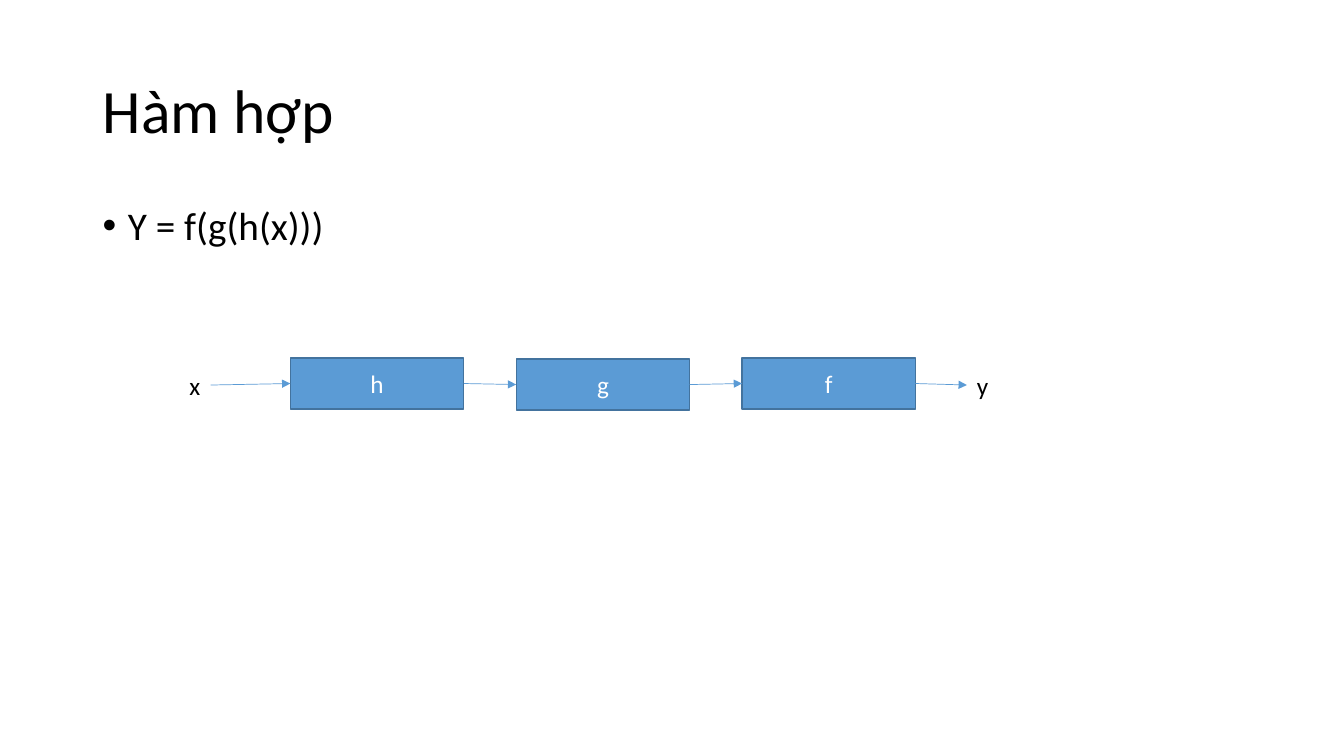
from itertools import pairwise
from lxml.etree import SubElement
from pptx import Presentation
from pptx.dml.color import RGBColor
from pptx.enum.shapes import MSO_CONNECTOR as CONNECTOR, MSO_SHAPE as SHAPE
from pptx.enum.text import MSO_ANCHOR as ANCHOR, MSO_AUTO_SIZE as AUTO_SIZE, PP_ALIGN as ALIGN
from pptx.oxml.ns import qn
from pptx.util import Inches, Pt

TITLE = "Hàm hợp"
FORMULA = "Y = f(g(h(x)))"
SOURCE, FUNCTIONS, RESULT = "x", ["h", "g", "f"], "y"
FONT = "Calibri"
BLACK, WHITE, BLUE, EDGE = "000000", "FFFFFF", "5B9BD5", "43739E"

MARGIN, CONTENT_WIDTH = 0.92, 11.5
FIRST_LEFT, PITCH = 2.88, 2.24
BOX_WIDTH, BOX_HEIGHT = 1.72, 0.51
ROW_TOPS = [3.55, 3.56]
LABEL_TOP, LABEL_HEIGHT = 3.62, 0.4
LEFT, RIGHT = 1, 3


def color(value):
    return RGBColor.from_string(value)


def write(frame, text, size, ink, align=ALIGN.LEFT, anchor=ANCHOR.TOP, wrap=True):
    frame.word_wrap = wrap
    frame.vertical_anchor = anchor
    paragraph = frame.paragraphs[0]
    paragraph.alignment = align
    run = paragraph.add_run()
    run.text = text
    run.font.name = FONT
    run.font.size = Pt(size)
    run.font.color.rgb = color(ink)
    return paragraph


def add_text(left, top, width, height, text, size, **layout):
    box = slide.shapes.add_textbox(*map(Inches, (left, top, width, height)))
    return box, write(box.text_frame, text, size, BLACK, **layout)


def add_label(left, width, text):
    label, _ = add_text(left, LABEL_TOP, width, LABEL_HEIGHT, text, 18, wrap=False)
    label.text_frame.auto_size = AUTO_SIZE.SHAPE_TO_FIT_TEXT
    return label


def add_function(index, name):
    box = slide.shapes.add_shape(
        SHAPE.RECTANGLE,
        Inches(FIRST_LEFT + index * PITCH),
        Inches(ROW_TOPS[index % 2]),
        Inches(BOX_WIDTH),
        Inches(BOX_HEIGHT),
    )
    box.shadow.inherit = False
    box.fill.solid()
    box.fill.fore_color.rgb = color(BLUE)
    box.line.color.rgb = color(EDGE)
    box.line.width = Pt(1)
    write(box.text_frame, name, 18, WHITE, ALIGN.CENTER, ANCHOR.MIDDLE)
    return box


def add_arrow(start, end):
    arrow = slide.shapes.add_connector(CONNECTOR.STRAIGHT, 0, 0, 0, 0)
    arrow.begin_connect(start, RIGHT)
    arrow.end_connect(end, LEFT)
    arrow.line.color.rgb = color(BLUE)
    arrow.line.width = Pt(0.5)
    SubElement(arrow.line._get_or_add_ln(), qn("a:tailEnd"), type="triangle")
    SubElement(arrow._element.spPr, qn("a:effectLst"))


deck = Presentation()
deck.slide_width, deck.slide_height = Inches(13.33), Inches(7.5)
slide = deck.slides.add_slide(deck.slide_layouts[6])

_, heading = add_text(MARGIN, 0.4, CONTENT_WIDTH, 1.45, TITLE, 44, anchor=ANCHOR.MIDDLE)
heading.line_spacing = 0.9

_, bullet = add_text(MARGIN, 2, CONTENT_WIDTH, 4.76, FORMULA, 28)
bullet.line_spacing = 0.9
properties = bullet._p.get_or_add_pPr()
properties.set("marL", str(Inches(0.25)))
properties.set("indent", str(-Inches(0.25)))
SubElement(properties, qn("a:buFont"), typeface="Arial")
SubElement(properties, qn("a:buChar"), char="•")

stages = [add_function(index, name) for index, name in enumerate(FUNCTIONS)]
chain = [add_label(1.78, 0.31, SOURCE), *stages, add_label(9.59, 0.32, RESULT)]
for start, end in pairwise(chain):
    add_arrow(start, end)

deck.save("out.pptx")
